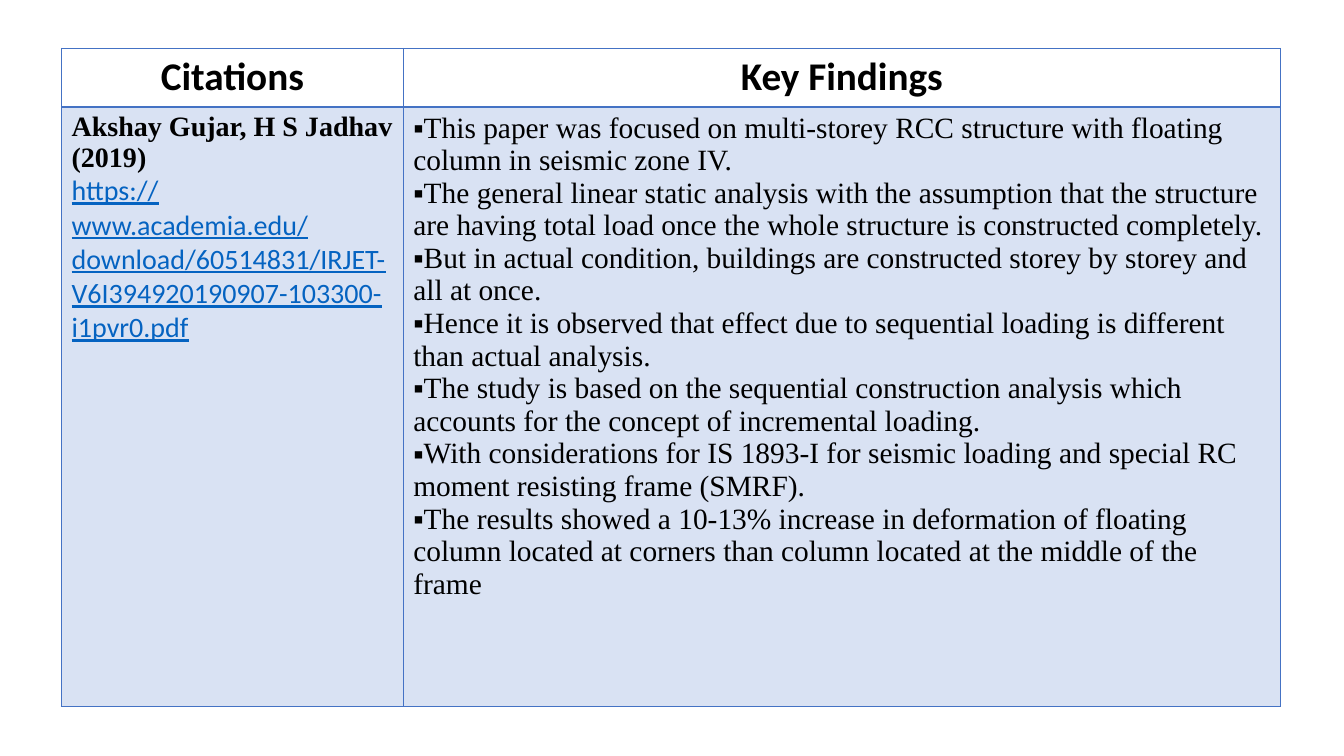
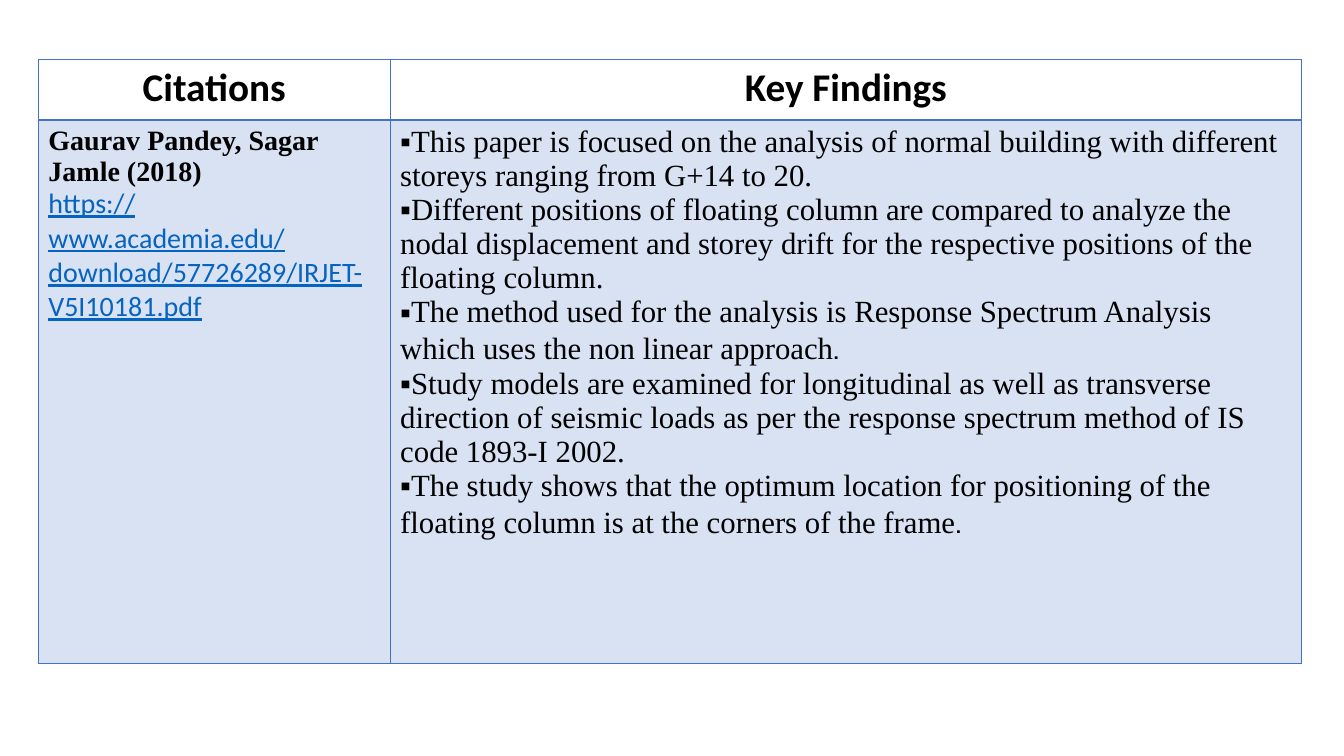
from dataclasses import dataclass

import pptx
import pptx.dml.color
import pptx.enum.text
import pptx.oxml.ns
import pptx.util
from lxml import etree
from pptx.util import Inches

BLUE, LINK, BLACK = "4472C4", "0563C1", "000000"
SANS, SERIF, STOP_FONT = "Calibri", "Times New Roman", "Cabin"
HEADINGS = ("Citations", "Key Findings")
TINT = 20  # opacity of the body fill, in percent


@dataclass
class Review:
    """One reviewed paper and the place of its table, in inches."""
    left: float
    top: float
    columns: tuple[float, float]
    rows: tuple[float, float]
    authors: str
    address: str
    finding_size: int
    findings: list[str]
    stop_font: str = SERIF  # font of the full stops split off with "|"


REVIEWS = [
    Review(
        0.61, 0.48, (3.39, 8.7), (0.58, 5.95),
        "Akshay Gujar, H S Jadhav (2019)",
        "https://www.academia.edu/download/60514831/IRJET-V6I394920190907-103300-i1pvr0.pdf",
        21,
        [
            "This paper was focused on multi-storey RCC structure with floating column in seismic zone IV.",
            "The general linear static analysis with the assumption that the structure are having total load "
            "once the whole structure is constructed completely.",
            "But in actual condition, buildings are constructed storey by storey and all at once.",
            "Hence it is observed that effect due to sequential loading is different than actual analysis.",
            "The study is based on the sequential construction analysis which accounts for the concept of "
            "incremental loading.",
            "With considerations for IS 1893-I for seismic loading and special RC moment resisting frame (SMRF).",
            "The results showed a 10-13% increase in deformation of floating column located at corners than "
            "column located at the middle of the frame",
        ],
    ),
    Review(
        0.38, 0.59, (3.49, 9.04), (0.6, 5.39),
        "Gaurav Pandey, Sagar Jamle (2018)",
        "https://www.academia.edu/download/57726289/IRJET-V5I10181.pdf",
        22,
        [
            "This paper is focused on the analysis of normal building with different storeys ranging from "
            "G+14 to 20.",
            "Different positions of floating column are compared to analyze the nodal displacement and storey "
            "drift for the respective positions of the floating column.",
            "The method used for the analysis is Response Spectrum Analysis which uses the non linear approach|.",
            "Study models are examined for longitudinal as well as transverse direction of seismic loads as per "
            "the response spectrum method of IS code 1893-I 2002.",
            "The study shows that the optimum location for positioning of the floating column is at the corners "
            "of the frame|.",
        ],
        STOP_FONT,
    ),
]


def rgb(value: str) -> pptx.dml.color.RGBColor:
    return pptx.dml.color.RGBColor.from_string(value)


def child(parent, tag: str, **attributes: str):
    return etree.SubElement(parent, pptx.oxml.ns.qn(tag), attributes)


def add_span(para, text: str, *, size: int, font: str = SERIF, color: str = BLACK,
             bold: bool = False, underline: bool = False) -> None:
    span = para.add_run()
    span.text = text
    span.font.size = pptx.util.Pt(size)
    span.font.name = font
    span.font.color.rgb = rgb(color)
    span.font.bold = bold
    span.font.underline = underline


def add_bullet(para) -> None:
    properties = para._p.get_or_add_pPr()
    properties.set("marL", "0")
    properties.set("indent", "0")
    child(properties, "a:buFont", typeface="Arial")
    child(properties, "a:buChar", char="▪")


def set_borders(cell, **widths: float) -> None:
    """Draw the four sides; widths in points are keyed L, R, T, B and default to 1."""
    properties = cell._tc.get_or_add_tcPr()
    for index, side in enumerate("LRTB"):
        width = pptx.util.Pt(widths.get(side, 1))
        line = child(properties, f"a:ln{side}", w=str(int(width)))
        properties.insert(index, line)
        child(child(line, "a:solidFill"), "a:srgbClr", val=BLUE)


def tint_cell(cell) -> None:
    cell.fill.solid()
    cell.fill.fore_color.rgb = rgb(BLUE)
    color = next(cell._tc.tcPr.iter(pptx.oxml.ns.qn("a:srgbClr")))
    child(color, "a:alpha", val=str(TINT * 1000))


def fill_header(table) -> None:
    for column, heading in enumerate(HEADINGS):
        cell = table.cell(0, column)
        cell.fill.background()
        set_borders(cell, B=2)
        para = cell.text_frame.paragraphs[0]
        para.alignment = pptx.enum.text.PP_ALIGN.CENTER
        add_span(para, heading, size=28, font=SANS, bold=True)


def fill_body(table, review: Review) -> None:
    citation, findings = table.cell(1, 0), table.cell(1, 1)
    for cell in (citation, findings):
        tint_cell(cell)
        set_borders(cell, T=2)

    # Authors and web address
    frame = citation.text_frame
    add_span(frame.paragraphs[0], review.authors, size=20, bold=True)
    add_span(frame.add_paragraph(), review.address, size=20, font=SANS, color=LINK, underline=True)

    # Bulleted findings
    frame = findings.text_frame
    for index, finding in enumerate(review.findings):
        para = frame.add_paragraph() if index else frame.paragraphs[0]
        add_bullet(para)
        sentence, _, stop = finding.partition("|")
        add_span(para, sentence, size=review.finding_size)
        if stop:
            add_span(para, stop, size=review.finding_size, font=review.stop_font)


def add_review(deck, review: Review) -> None:
    page = deck.slides.add_slide(deck.slide_layouts[6])
    frame = page.shapes.add_table(
        2, 2, Inches(review.left), Inches(review.top),
        Inches(sum(review.columns)), Inches(sum(review.rows)))
    table = frame.table
    table.first_row = table.horz_banding = False
    for column, width in zip(table.columns, review.columns):
        column.width = Inches(width)
    for row, height in zip(table.rows, review.rows):
        row.height = Inches(height)
    fill_header(table)
    fill_body(table, review)


def main() -> None:
    deck = pptx.Presentation()
    deck.slide_width, deck.slide_height = Inches(13.33), Inches(7.5)
    for review in REVIEWS:
        add_review(deck, review)
    deck.save("out.pptx")


if __name__ == "__main__":
    main()
